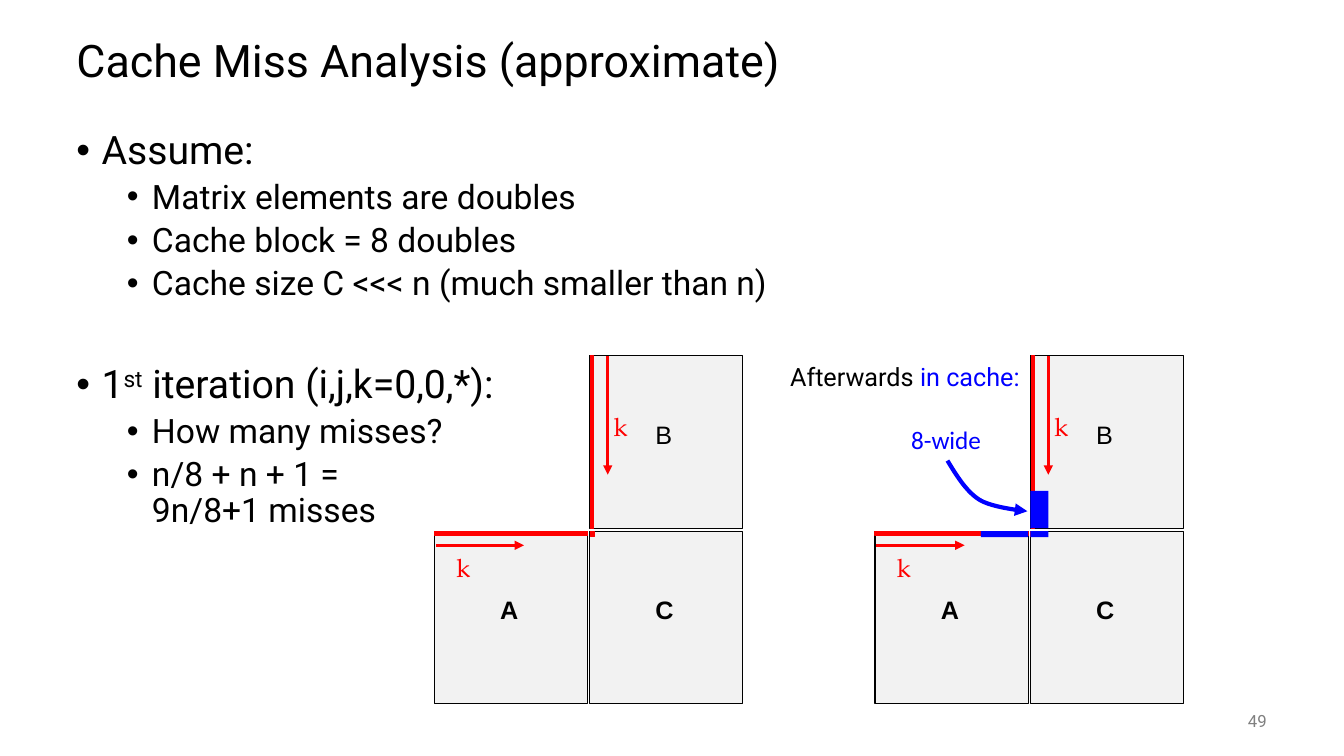
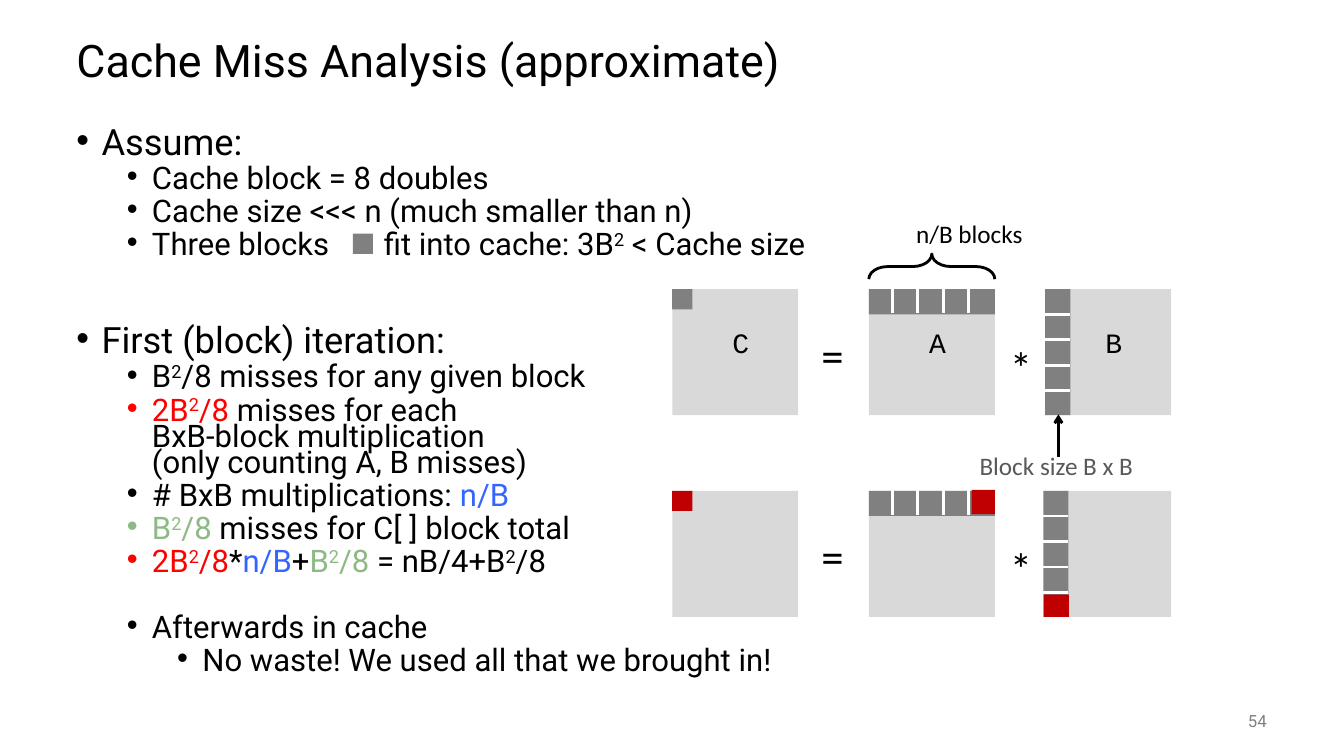
from lxml.etree import SubElement
from pptx import Presentation
from pptx.dml.color import RGBColor
from pptx.enum.shapes import MSO_CONNECTOR, MSO_SHAPE
from pptx.enum.text import MSO_ANCHOR, PP_ALIGN
from pptx.oxml.ns import qn
from pptx.util import Pt

BLACK = RGBColor(0x00, 0x00, 0x00)
WHITE = RGBColor(0xFF, 0xFF, 0xFF)
RED = RGBColor(0xFF, 0x00, 0x00)
BLUE = RGBColor(0x00, 0x00, 0xFF)
DARK_RED = RGBColor(0xC0, 0x00, 0x00)
SKY = RGBColor(0x33, 0x66, 0xFF)
GREEN = RGBColor(0x8D, 0xBA, 0x84)
PALE = RGBColor(0xF2, 0xF2, 0xF2)
LIGHT = RGBColor(0xD9, 0xD9, 0xD9)
GRAY = RGBColor(0x80, 0x80, 0x80)
DARK_GRAY = RGBColor(0x59, 0x59, 0x59)

ROBOTO, CALIBRI, ARIAL = "Roboto", "Calibri", "Arial"
COURIER, PAGELLA = "Courier New", "TeX Gyre Pagella"

# Row-times-column diagram: cell size, and step to the next cell
CELL_W, CELL_H = 109.4, 123.1
STEP_X, STEP_Y = 110.9, 125.2
GRID_TOP = 254.2

# Blocked equation: matrix side, block side, left edges
SIDE, BLOCK, SMALL_BLOCK = 90, 18, 14.4
C_LEFT, A_LEFT, B_LEFT = 480.2, 620.6, 746.6
DIVIDER_STEP = 18.2


# ---- Element helpers ----
def style(run, size, font, color=BLACK, bold=False):
    run.font.size = Pt(size)
    run.font.name = font
    run.font.color.rgb = color
    run.font.bold = bold


def add_spans(paragraph, spans, size, font):
    """Write (text, colour) spans; ^x^ is raised, a newline breaks the line."""
    for text, color in spans:
        for i, part in enumerate(text.split("^")):
            for j, line in enumerate(part.split("\n")):
                if j:
                    paragraph.add_line_break()
                if not line:
                    continue
                run = paragraph.add_run()
                run.text = line
                style(run, size, font, color)
                if i % 2:
                    run.font._element.set("baseline", "30000")


def text_box(slide, x, y, w, h, spans, size, font, anchor=MSO_ANCHOR.TOP):
    frame = slide.shapes.add_textbox(Pt(x), Pt(y), Pt(w), Pt(h)).text_frame
    frame.word_wrap = True
    frame.vertical_anchor = anchor
    paragraph = frame.paragraphs[0]
    add_spans(paragraph, spans, size, font)
    return paragraph


def box(slide, x, y, w, h, fill, line=None, kind=MSO_SHAPE.RECTANGLE):
    shape = slide.shapes.add_shape(kind, Pt(x), Pt(y), Pt(w), Pt(h))
    shape.shadow.inherit = False
    if fill is None:
        shape.fill.background()
    else:
        shape.fill.solid()
        shape.fill.fore_color.rgb = fill
    if line is None:
        shape.line.fill.background()
    else:
        shape.line.color.rgb = line
        shape.line.width = Pt(0.75)
    return shape


def label(shape, text, left, top, size, font, bold=False):
    frame = shape.text_frame
    frame.margin_left, frame.margin_top = Pt(left), Pt(top)
    frame.vertical_anchor = MSO_ANCHOR.TOP
    frame.text = text
    frame.paragraphs[0].alignment = PP_ALIGN.LEFT
    style(frame.paragraphs[0].runs[0], size, font, bold=bold)


def arrow_tip(shape, tip):
    SubElement(shape.line._get_or_add_ln(), qn("a:tailEnd"), type=tip)


def line(slide, x1, y1, x2, y2, color, width, tip=None):
    connector = slide.shapes.add_connector(
        MSO_CONNECTOR.STRAIGHT, Pt(x1), Pt(y1), Pt(x2), Pt(y2))
    connector.line.color.rgb = color
    connector.line.width = Pt(width)
    SubElement(connector._element.spPr, qn("a:effectLst"))
    if tip:
        arrow_tip(connector, tip)


def bezier(p0, p1, p2, p3, steps=12):
    for i in range(1, steps + 1):
        t = i / steps
        u = 1 - t
        yield tuple(Pt(u**3 * a + 3 * u * u * t * b + 3 * u * t * t * c + t**3 * d)
                    for a, b, c, d in zip(p0, p1, p2, p3))


# ---- Shared slide parts ----
def base_slide(prs, number):
    slide = prs.slides.add_slide(prs.slide_layouts[6])
    title = text_box(slide, 47.5, 18, 864, 54,
                     [("Cache Miss Analysis (approximate)", BLACK)],
                     32, ROBOTO, MSO_ANCHOR.MIDDLE)
    title.line_spacing = 0.9
    page = text_box(slide, 840, 500.4, 72, 28.8, [(str(number), GRAY)],
                    12, ROBOTO, MSO_ANCHOR.MIDDLE)
    page.alignment = PP_ALIGN.RIGHT
    return slide


def bullets(slide, items, top_size, sub_size, spacing, tabs=()):
    """Each item is (level, spans, extra space before)."""
    frame = slide.shapes.add_textbox(Pt(47.5), Pt(90), Pt(864), Pt(396)).text_frame
    frame.word_wrap = True
    for i, (level, spans, gap) in enumerate(items):
        paragraph = frame.add_paragraph() if i else frame.paragraphs[0]
        props = paragraph._p.get_or_add_pPr()
        props.set("marL", str(Pt(18 + 36 * level)))
        props.set("indent", str(Pt(-18)))
        SubElement(props, qn("a:buFont"), typeface=ARIAL)
        SubElement(props, qn("a:buChar"), char="•")
        if any("\t" in text for text, _ in spans):
            stops = SubElement(props, qn("a:tabLst"))
            for stop in tabs:
                SubElement(stops, qn("a:tab"), pos=str(Pt(stop)), algn="l")
        paragraph.level = level
        paragraph.line_spacing = spacing
        if i:
            paragraph.space_before = Pt((5 if level else 14) + gap)
        add_spans(paragraph, spans, sub_size if level else top_size, ROBOTO)


# ---- Row-times-column diagram ----
def row_column_diagram(slide, left):
    right, low = left + STEP_X, GRID_TOP + STEP_Y
    for name, x, y in (("A", left, low), ("B", right, GRID_TOP), ("C", right, low)):
        cell = box(slide, x, y, CELL_W, CELL_H, PALE, BLACK)
        label(cell, name, 47, 45, 18, ARIAL, bold=name != "B")
    # Column of B, row of A, element of C
    box(slide, right + 0.7, GRID_TOP, 2.2, CELL_H, RED, RED)
    box(slide, left, low + 0.4, CELL_W, 3, RED, RED)
    box(slide, right + 0.4, low + 0.4, 3.4, 3.4, RED, RED)
    # Directions of k
    line(slide, left + 1, 389.5, left + 64, 389.5, RED, 2.25, "triangle")
    line(slide, left + 123.8, GRID_TOP, left + 123.8, 339.1, RED, 2.25, "triangle")
    for x, y in ((left + 8.6, 391), (left + 121, 290.2)):
        text_box(slide, x, y, 26, 29.5, [("k", RED)], 18, PAGELLA)


def cache_contents(slide, left):
    right, low = left + STEP_X, GRID_TOP + STEP_Y
    text_box(slide, 557.3, 254.9, 186, 28.8,
             [("Afterwards ", BLACK), ("in cache:", BLUE)], 18, ROBOTO)
    text_box(slide, 643.7, 299.5, 72, 28.8, [("8-wide", BLUE)], 18, CALIBRI)
    # Curved pointer
    start, bend, end = (676.8, 329), (699.8, 357.1), (733.9, 365.2)
    points = [*bezier(start, (683.3, 339.8), (690.5, 351.4), bend),
              *bezier(bend, (709.2, 362.9), end, end)]
    builder = slide.shapes.build_freeform(Pt(start[0]), Pt(start[1]))
    builder.add_line_segments(points, close=False)
    pointer = builder.convert_to_shape()
    pointer.shadow.inherit = False
    pointer.fill.background()
    pointer.line.color.rgb = BLUE
    pointer.line.width = Pt(3)
    arrow_tip(pointer, "triangle")
    # Cached parts of A, B and C
    box(slide, left + 75.6, low, 33.8, 4.3, BLUE)
    box(slide, right, 350.6, 13, 26.7, BLUE)
    box(slide, right, low, 13, 4.3, BLUE)


# ---- Blocked equation C = A * B ----
def block_equation(slide, top, column_left, corner_color, named=False):
    for name, x in (("C", C_LEFT), ("A", A_LEFT), ("B", B_LEFT)):
        matrix = box(slide, x, top, SIDE, SIDE, LIGHT)
        if named:
            label(matrix, name, 43, 26, 20, COURIER)
    for sign, x, drop in (("=", 579.6, 23.8), ("*", 714.2, 32.4)):
        text_box(slide, x, top + drop, 32, 46, [(sign, BLACK)], 32, CALIBRI)
    box(slide, C_LEFT, top, SMALL_BLOCK, SMALL_BLOCK, corner_color)
    # Row of A blocks and column of B blocks
    box(slide, A_LEFT, top, SIDE, BLOCK, GRAY)
    box(slide, column_left, top, BLOCK, SIDE, GRAY)
    for i in range(4):
        x = A_LEFT + 16.7 + i * DIVIDER_STEP
        y = top + BLOCK + i * DIVIDER_STEP
        line(slide, x, top - 0.7, x, top + 17.3, WHITE, 2)
        line(slide, column_left, y, column_left + BLOCK, y, WHITE, 2)


# ---- Slides ----
def first_iteration(prs):
    slide = base_slide(prs, 49)
    bullets(slide, [
        (0, [("Assume:", BLACK)], 0),
        (1, [("Matrix elements are doubles", BLACK)], 0),
        (1, [("Cache block = 8 doubles", BLACK)], 0),
        (1, [("Cache size C <<< n (much smaller than n)", BLACK)], 0),
        (0, [("1^st^ iteration (i,j,k=0,0,*):", BLACK)], 30.3),
        (1, [("How many misses?", BLACK)], 0),
        (1, [("n/8 + n + 1 =\n9n/8+1 misses", BLACK)], 0),
    ], 28, 24, 0.9)
    row_column_diagram(slide, 310.3)
    row_column_diagram(slide, 625)
    cache_contents(slide, 625)


def block_iteration(prs):
    slide = base_slide(prs, 54)
    # The two stops give one place, measured from the indent or the box edge
    bullets(slide, [
        (0, [("Assume:", BLACK)], 0),
        (1, [("Cache block = 8 doubles", BLACK)], 0),
        (1, [("Cache size <<< n (much smaller than n)", BLACK)], 0),
        (1, [("Three blocks\tfit into cache: 3B^2^ < Cache size", BLACK)], 0),
        (0, [("First (block) iteration:", BLACK)], 35.2),
        (1, [("B^2^/8 misses for any given block", BLACK)], 0),
        (1, [("2B^2^/8", RED), (" misses for each\nBxB-block multiplication\n"
                                "(only counting A, B misses)", BLACK)], 0),
        (1, [("# BxB multiplications: ", BLACK), ("n/B", SKY)], 0),
        (1, [("B^2^/8", GREEN), (" misses for C[ ] block total", BLACK)], 0),
        (1, [("2B^2^/8", RED), ("*", BLACK), ("n/B", SKY), ("+", BLACK),
             ("B^2^/8", GREEN), (" = nB/4+B^2^/8", BLACK)], 0),
        (1, [("Afterwards in cache", BLACK)], 23.2),
        (2, [("No waste! We used all that we brought in!", BLACK)], 0),
    ], 25.9, 22.2, 0.7, tabs=(165.6, 219.6))
    box(slide, 252, 167, SMALL_BLOCK, SMALL_BLOCK, GRAY)

    block_equation(slide, 206.6, B_LEFT, GRAY, named=True)
    block_equation(slide, 350.6, B_LEFT - 1.4, DARK_RED)
    # Last blocks used
    box(slide, 694, 350, 16.6, 17.3, DARK_RED)
    box(slide, 745.6, 424.8, BLOCK, 15.8, DARK_RED)

    # Brace over the row and arrow to the column
    brace = box(slide, 656.6, 145.4, 18, SIDE, None, BLACK, MSO_SHAPE.LEFT_BRACE)
    brace.rotation = 90
    brace.adjustments[0] = 0.75
    brace.line.width = Pt(2)
    text_box(slide, 647.3, 152.6, 98, 28.8, [("n/B blocks", BLACK)], 18, CALIBRI)
    text_box(slide, 692.6, 318.2, 134, 28.8, [("Block size B x B", DARK_GRAY)], 18, CALIBRI)
    line(slide, 756, 326.2, 756, 296, BLACK, 2, "arrow")


def main():
    prs = Presentation()
    prs.slide_width, prs.slide_height = Pt(960), Pt(540)
    first_iteration(prs)
    block_iteration(prs)
    prs.save("out.pptx")


if __name__ == "__main__":
    main()
